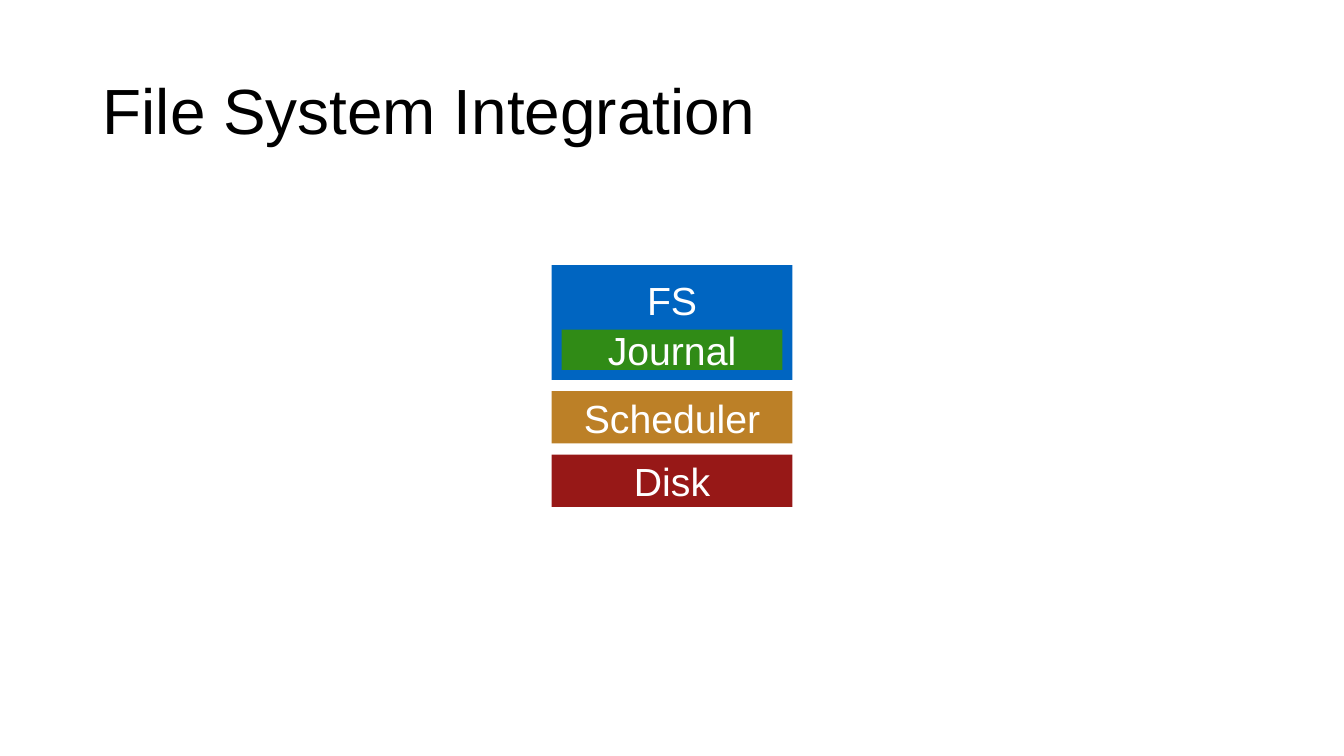
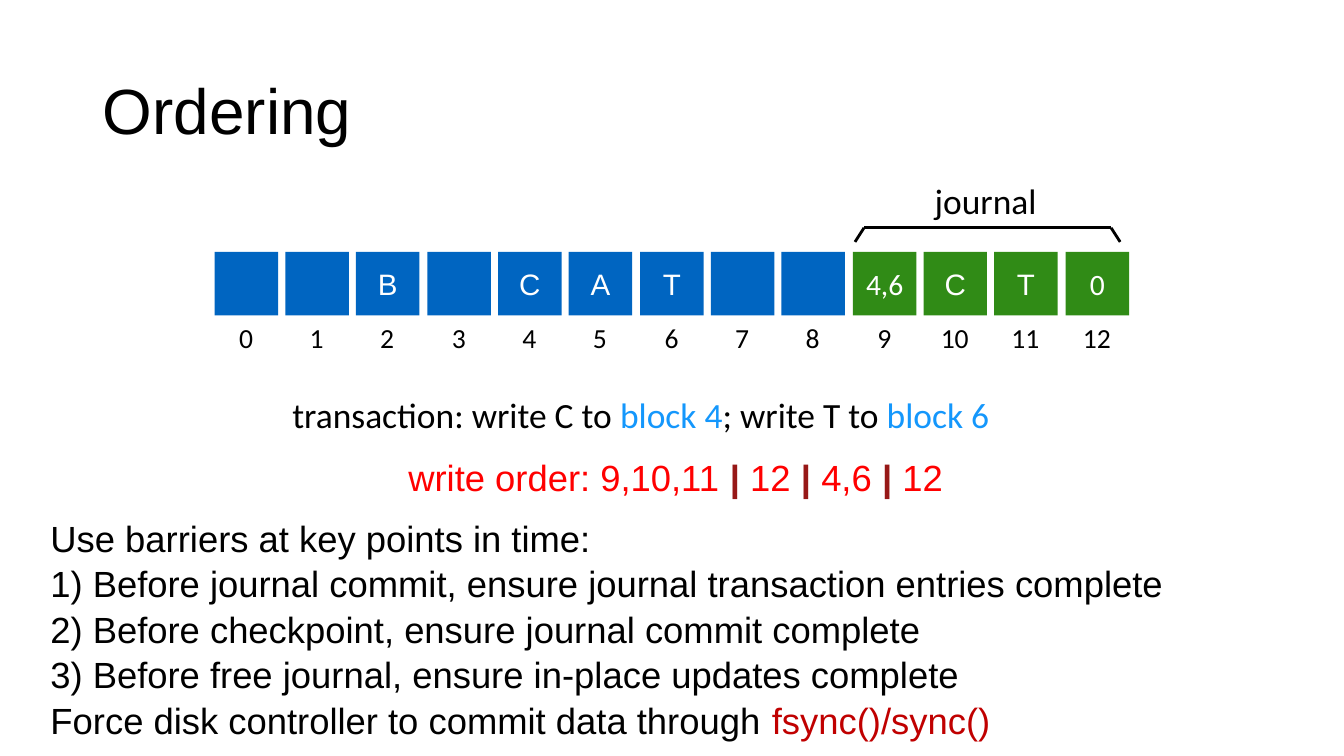
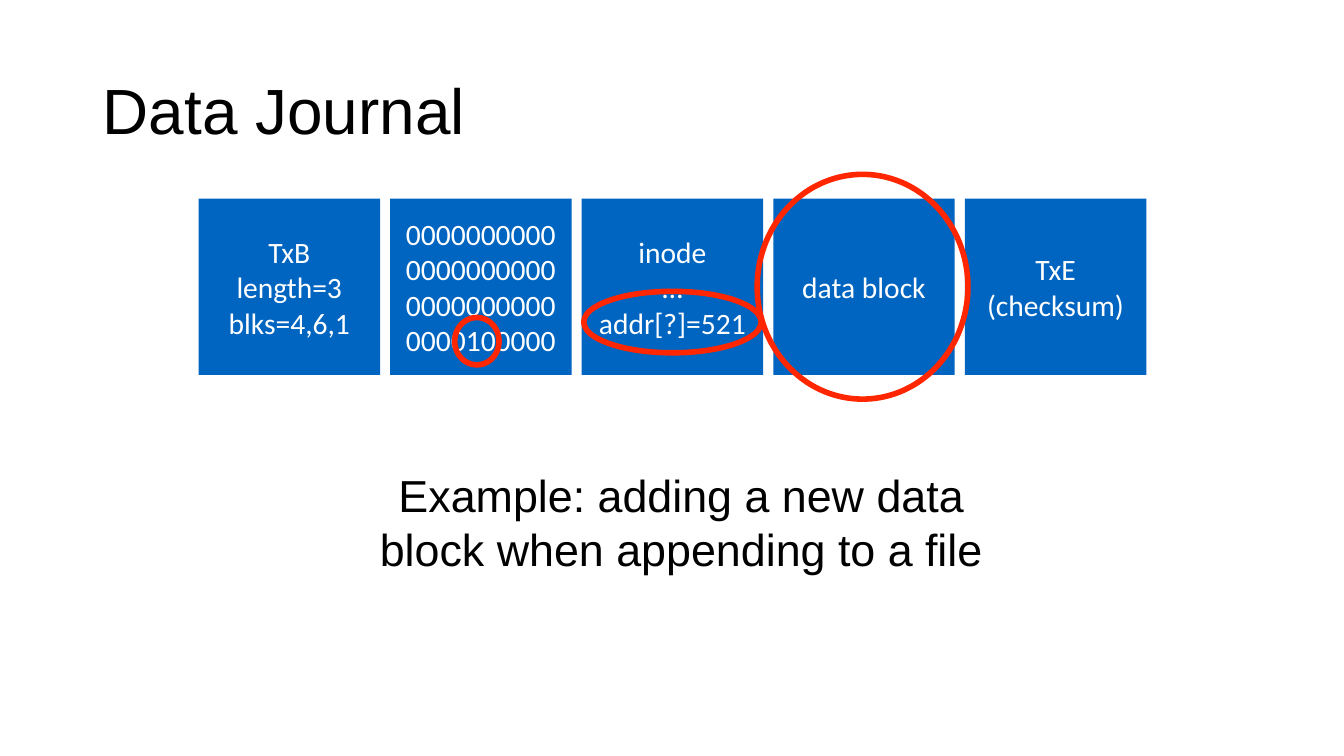
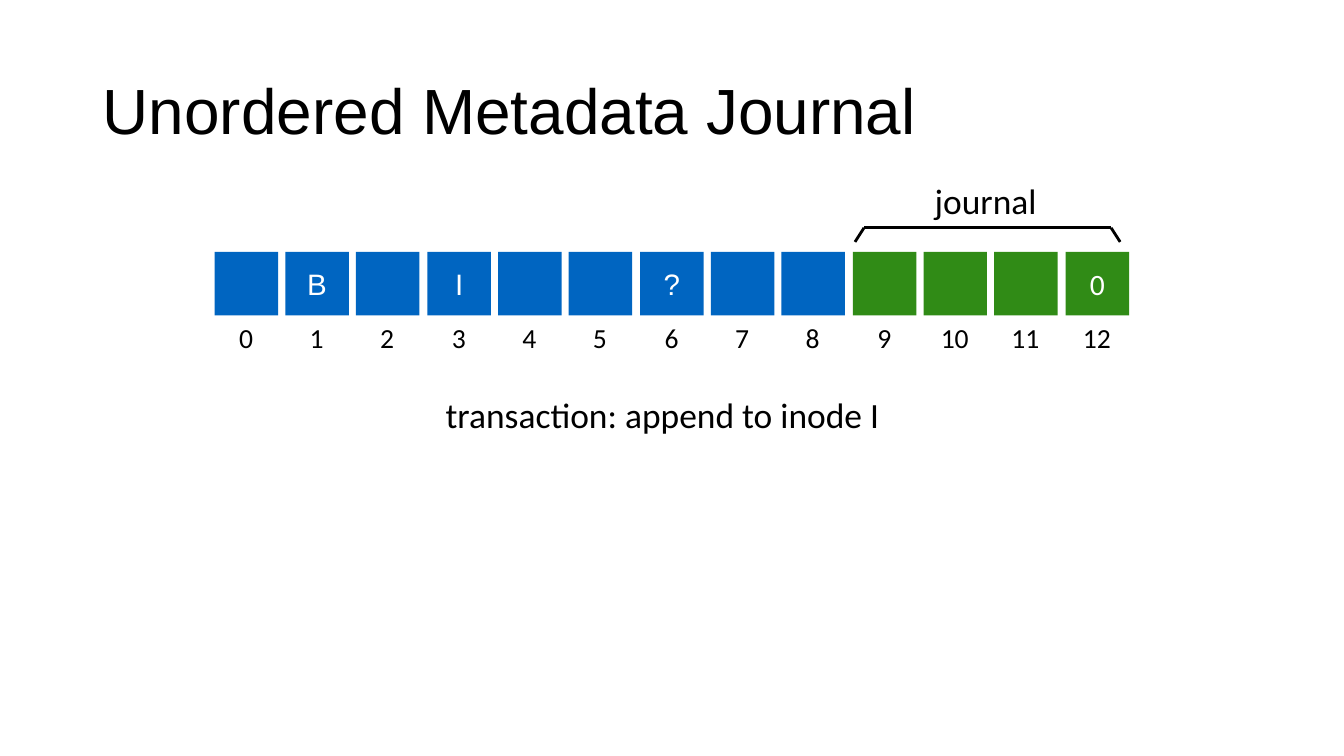
from dataclasses import dataclass, replace
from typing import NamedTuple

from pptx import Presentation
from pptx.dml.color import RGBColor
from pptx.enum.shapes import MSO_CONNECTOR as Link, MSO_SHAPE as Form
from pptx.enum.text import MSO_ANCHOR as Anchor, MSO_AUTO_SIZE as Fit, PP_ALIGN as Align
from pptx.oxml.ns import qn
from pptx.slide import Slide
from pptx.text.text import TextFrame, _Paragraph as Para
from pptx.util import Pt
from lxml.etree import SubElement

PX = 9144  # 100 px to the inch

BLACK = RGBColor(0x00, 0x00, 0x00)
WHITE = RGBColor(0xFF, 0xFF, 0xFF)
BLUE = RGBColor(0x00, 0x65, 0xC1)
GREEN = RGBColor(0x30, 0x8B, 0x16)
OCHRE = RGBColor(0xBC, 0x80, 0x27)
MAROON = RGBColor(0x97, 0x18, 0x17)
SKY = RGBColor(0x14, 0x97, 0xFC)
RED = RGBColor(0xFF, 0x00, 0x00)
CRIMSON = RGBColor(0xC0, 0x00, 0x00)
RING = RGBColor(0xFF, 0x26, 0x00)

TITLE_ONLY, TITLE_BODY = 5, 1


class Box(NamedTuple):
    left: int
    top: int
    width: int
    height: int

    def emu(self) -> list[int]:
        return [n * PX for n in self]


class Part(NamedTuple):
    """A piece of a line with its own colour and weight."""
    text: str
    color: RGBColor
    bold: bool = False


class Bar(NamedTuple):
    text: str
    box: Box
    fill: RGBColor
    foot: int = 0


@dataclass(frozen=True)
class Look:
    size: float
    font: str = "Calibri"
    color: RGBColor = BLACK
    align: Align = Align.LEFT


TITLE = Look(45.6, "Arial")
BAR = Look(28, "Arial", WHITE, Align.CENTER)
CELL = Look(21.1, "Arial", WHITE, Align.CENTER)
BLOCK = replace(CELL, font="Calibri")
INDEX = Look(19.7, align=Align.CENTER)
NOTE = Look(25.3)
ORDER = Look(26, "Arial")
CAPTION = Look(32, "Arial", align=Align.CENTER)

TITLE_BOX = Box(92, 40, 1150, 145)

# Row of disk blocks, the last ones forming the journal
COUNT, DISK = 13, 9
FIRST, LAST, SIDE, ROW = 213, 1057, 63, 250

STACK = [
    Bar("FS", Box(547, 263, 239, 114), BLUE, 45),
    Bar("Journal", Box(557, 327, 219, 40), GREEN),
    Bar("Scheduler", Box(547, 388, 239, 52), OCHRE),
    Bar("Disk", Box(547, 451, 239, 52), MAROON),
]
WRITES = [
    Part("transaction: write C to ", BLACK), Part("block 4", SKY),
    Part("; write T to ", BLACK), Part("block 6", SKY),
]
BREAK = Part("| ", MAROON, True)
STEPS = [
    Part("write order: 9,10,11 ", RED), BREAK, Part("12 ", RED), BREAK,
    Part("4,6 ", RED), BREAK, Part("12", RED),
]
RULES = [
    "Before journal commit, ensure journal transaction entries complete",
    "Before checkpoint, ensure journal commit complete",
    "Before free journal, ensure in-place updates complete",
]
ENTRY = [
    "TxB\nlength=3\nblks=4,6,1",
    "0000000000\n0000000000\n0000000000\n0000100000",
    "inode\n…\naddr[?]=521",
    "data block",
    "TxE\n(checksum)",
]
RINGS = [Box(579, 289, 176, 61), Box(751, 173, 209, 223), Box(451, 315, 44, 47)]


def style(para: Para, look: Look) -> None:
    para.alignment = look.align
    for run in para.runs:
        run.font.size = Pt(look.size)
        run.font.name = look.font
        run.font.color.rgb = look.color


def tint(para: Para, parts: list[Part], look: Look) -> None:
    """Fill a paragraph with parts, each in its own colour."""
    for part in parts:
        para.add_run().text = part.text
    style(para, look)
    for run, part in zip(para.runs, parts):
        run.font.color.rgb = part.color
        run.font.bold = part.bold


def write(frame: TextFrame, text: str, look: Look) -> None:
    frame.text = text
    for para in frame.paragraphs:
        style(para, look)


def pad(frame: TextFrame, inset: int, anchor: Anchor = Anchor.MIDDLE) -> None:
    frame.margin_left = frame.margin_right = inset * PX
    frame.margin_top = frame.margin_bottom = inset * PX
    frame.vertical_anchor = anchor


def start(deck: Presentation, title: str, kind: int = TITLE_ONLY) -> Slide:
    """Add a slide with the shared title."""
    slide = deck.slides.add_slide(deck.slide_layouts[kind])
    head = slide.shapes.title
    head.left, head.top, head.width, head.height = TITLE_BOX.emu()
    frame = head.text_frame
    write(frame, title, TITLE)
    frame.auto_size = Fit.NONE
    frame.vertical_anchor = Anchor.MIDDLE
    frame.paragraphs[0].line_spacing = 0.9
    return slide


def panel(slide: Slide, bar: Bar, look: Look) -> None:
    shape = slide.shapes.add_shape(Form.RECTANGLE, *bar.box.emu())
    shape.shadow.inherit = False
    shape.fill.solid()
    shape.fill.fore_color.rgb = bar.fill
    shape.line.fill.background()
    if bar.text:
        frame = shape.text_frame
        pad(frame, 0)
        frame.margin_bottom = bar.foot * PX
        write(frame, bar.text, look)


def label(slide: Slide, box: Box, text: str, look: Look) -> TextFrame:
    """Add a one-line text box."""
    frame = slide.shapes.add_textbox(*box.emu()).text_frame
    frame.word_wrap = False
    pad(frame, 4)
    if text:
        write(frame, text, look)
    return frame


def stroke(slide: Slide, *ends: int) -> None:
    line = slide.shapes.add_connector(Link.STRAIGHT, *[n * PX for n in ends])
    line.line.color.rgb = BLACK
    line.line.width = Pt(2)
    SubElement(line._element.spPr, qn("a:effectLst"))


def ring(slide: Slide, box: Box) -> None:
    shape = slide.shapes.add_shape(Form.OVAL, *box.emu())
    shape.shadow.inherit = False
    shape.fill.background()
    shape.line.color.rgb = RING
    shape.line.width = Pt(4)


def row(slide: Slide, marks: dict[int, str]) -> None:
    """Draw the numbered disk blocks and the bracket over the journal."""
    for i in range(COUNT):
        left = FIRST + i * (LAST - FIRST) // (COUNT - 1)
        text = marks.get(i, "")
        look = BLOCK if text[:1].isdigit() else CELL
        fill = BLUE if i < DISK else GREEN
        panel(slide, Bar(text, Box(left, ROW, SIDE, SIDE), fill), look)
        wide = 8 + 14 * len(str(i))
        spot = Box(left + (SIDE - wide) // 2, 314, wide, 41)
        label(slide, spot, str(i), INDEX)
    stroke(slide, 857, 226, 1102, 226)
    stroke(slide, 857, 226, 848, 240)
    stroke(slide, 1102, 226, 1111, 240)
    label(slide, Box(923, 174, 110, 50), "journal", NOTE)


def bullet(para: Para, number: bool) -> None:
    props = para._p.get_or_add_pPr()
    hang = 42 * PX if number else 0
    props.set("marL", str(hang))
    props.set("indent", str(-hang))
    if number:
        SubElement(props, qn("a:buFont")).set("typeface", "+mj-lt")
        SubElement(props, qn("a:buAutoNum")).set("type", "arabicParenR")
    else:
        SubElement(props, qn("a:buNone"))


def barriers(slide: Slide) -> None:
    body = slide.placeholders[1]
    body.left, body.top, body.width, body.height = Box(46, 510, 1254, 227).emu()
    frame = body.text_frame
    frame.word_wrap = True
    frame.auto_size = Fit.NONE
    pad(frame, 4)
    lines = [
        [Part("Use barriers at key points in time:", BLACK)],
        *[[Part(rule, BLACK)] for rule in RULES],
        [Part("Force disk controller to commit data through ", BLACK),
         Part("fsync()/sync()", CRIMSON)],
    ]
    for i, parts in enumerate(lines):
        para = frame.add_paragraph() if i else frame.paragraphs[0]
        bullet(para, 0 < i <= len(RULES))
        para.space_before = Pt(1.3 if i else 0)
        tint(para, parts, ORDER)


def stack(deck: Presentation) -> None:
    slide = start(deck, "File System Integration")
    for bar in STACK:
        panel(slide, bar, BAR)


def ordering(deck: Presentation) -> None:
    slide = start(deck, "Ordering", TITLE_BODY)
    row(slide, {2: "B", 4: "C", 5: "A", 6: "T",
                9: "4,6", 10: "C", 11: "T", 12: "0"})
    note = label(slide, Box(286, 386, 707, 50), "", NOTE)
    tint(note.paragraphs[0], WRITES, NOTE)
    order = label(slide, Box(401, 447, 544, 52), "", ORDER)
    tint(order.paragraphs[0], STEPS, ORDER)
    barriers(slide)


def entry(deck: Presentation) -> None:
    slide = start(deck, "Data Journal")
    for i, text in enumerate(ENTRY):
        panel(slide, Bar(text, Box(197 + 190 * i, 197, 180, 175), BLUE), BLOCK)
    for box in RINGS:
        ring(slide, box)
    frame = slide.shapes.add_textbox(*Box(335, 459, 682, 118).emu()).text_frame
    frame.word_wrap = True
    write(frame, "Example: adding a new data block when appending to a file", CAPTION)


def metadata(deck: Presentation) -> None:
    slide = start(deck, "Unordered Metadata Journal")
    row(slide, {1: "B", 3: "I", 6: "?", 12: "0"})
    label(slide, Box(438, 386, 442, 50), "transaction: append to inode I", NOTE)


def main() -> None:
    deck = Presentation()
    deck.slide_width, deck.slide_height = 1333 * PX, 750 * PX
    for build in (stack, ordering, entry, metadata):
        build(deck)
    deck.save("out.pptx")


if __name__ == "__main__":
    main()
